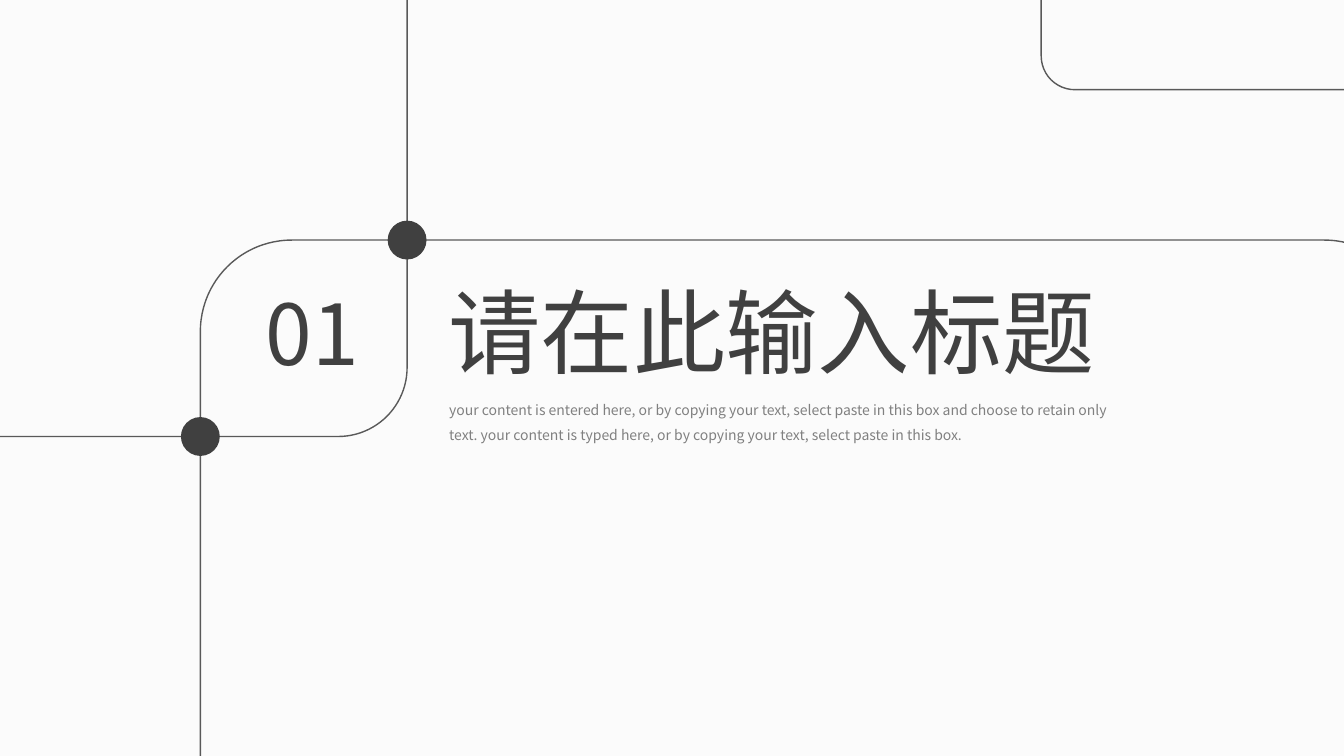
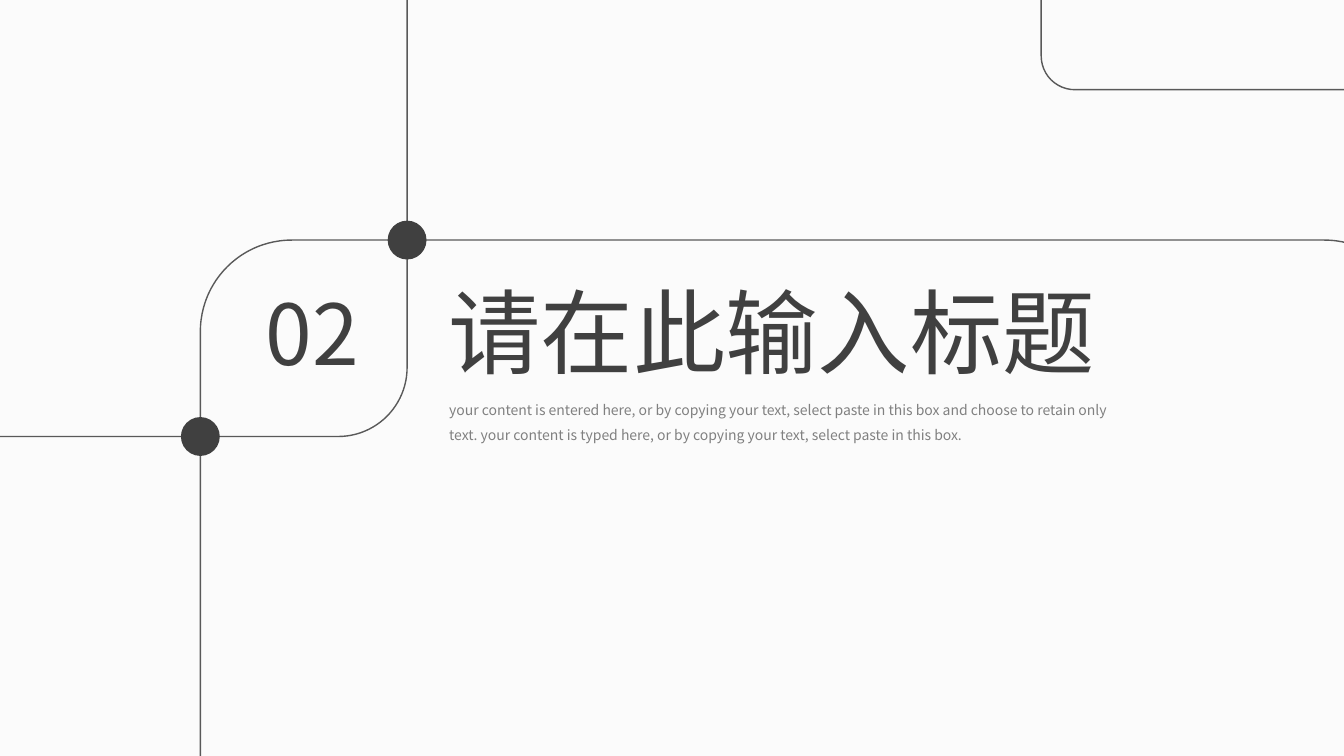
from dataclasses import dataclass

from lxml.etree import SubElement
from pptx import Presentation
from pptx.dml.color import RGBColor
from pptx.enum.shapes import MSO_SHAPE
from pptx.enum.text import MSO_AUTO_SIZE
from pptx.oxml.ns import qn
from pptx.slide import Slide
from pptx.util import Cm, Pt


@dataclass(frozen=True)
class Theme:
    font: str = "Noto Sans CJK SC"
    background: RGBColor = RGBColor(0xFB, 0xFB, 0xFB)
    outline: RGBColor = RGBColor(0x59, 0x59, 0x59)
    dark: RGBColor = RGBColor(0x40, 0x40, 0x40)
    muted: RGBColor = RGBColor(0x80, 0x80, 0x80)
    outline_pt: float = 1
    title_pt: float = 66
    number_pt: float = 60
    description_pt: float = 10


@dataclass(frozen=True)
class Box:
    """A rectangle in centimetres."""
    left: float
    top: float
    width: float
    height: float

    @property
    def right(self) -> float:
        return self.left + self.width

    @property
    def bottom(self) -> float:
        return self.top + self.height

    def lengths(self) -> tuple[Cm, Cm, Cm, Cm]:
        return Cm(self.left), Cm(self.top), Cm(self.width), Cm(self.height)


@dataclass(frozen=True)
class Frame:
    box: Box
    rounding: float


@dataclass(frozen=True)
class TextStyle:
    box: Box
    size: float
    color: RGBColor
    wrap: bool = False
    line_spacing: float = 1.0


@dataclass(frozen=True)
class Section:
    number: str
    title: str
    description: str


THEME = Theme()

NUMBER_FRAME = Frame(Box(-5.54, -6.91, 15.8, 17.91), 0.11)
TITLE_FRAME = Frame(Box(5.05, 6.05, 30.63, 19.2), 0.12)
CORNER_FRAME = Frame(Box(26.24, -3.4, 10.95, 5.66), 0.15)
FRAMES = (NUMBER_FRAME, TITLE_FRAME, CORNER_FRAME)

# The dots mark where the number frame and the title frame cross.
DOT_SIZE = 0.98
CROSSINGS = (
    (NUMBER_FRAME.box.right, TITLE_FRAME.box.top),
    (TITLE_FRAME.box.left, NUMBER_FRAME.box.bottom),
)

TITLE = TextStyle(Box(11.05, 6.81, 17.32, 3.07), THEME.title_pt, THEME.dark)
DESCRIPTION = TextStyle(Box(11.07, 9.78, 17.2, 1.55), THEME.description_pt,
                        THEME.muted, wrap=True, line_spacing=1.5)
NUMBER = TextStyle(Box(6.45, 6.96, 2.87, 2.82), THEME.number_pt, THEME.dark)

TITLE_TEXT = "请在此输入标题"
DESCRIPTION_TEXT = (
    "your content is entered here, or by copying your text, select paste in "
    "this box and choose to retain only text. your content is typed here, or "
    "by copying your text, select paste in this box."
)
SECTIONS = [Section(number, TITLE_TEXT, DESCRIPTION_TEXT)
            for number in ("01", "02")]


def add_frame(slide: Slide, frame: Frame) -> None:
    outline = slide.shapes.add_shape(MSO_SHAPE.ROUNDED_RECTANGLE,
                                     *frame.box.lengths())
    outline.adjustments[0] = frame.rounding
    outline.shadow.inherit = False
    outline.fill.background()
    outline.line.color.rgb = THEME.outline
    outline.line.width = Pt(THEME.outline_pt)


def add_dot(slide: Slide, x: float, y: float) -> None:
    """Draw a dot centred on x, y."""
    box = Box(x - DOT_SIZE / 2, y - DOT_SIZE / 2, DOT_SIZE, DOT_SIZE)
    dot = slide.shapes.add_shape(MSO_SHAPE.OVAL, *box.lengths())
    dot.shadow.inherit = False
    dot.fill.solid()
    dot.fill.fore_color.rgb = THEME.dark
    dot.line.fill.background()


def add_text(slide: Slide, text: str, style: TextStyle) -> None:
    frame = slide.shapes.add_textbox(*style.box.lengths()).text_frame
    frame.word_wrap = style.wrap
    frame.auto_size = MSO_AUTO_SIZE.SHAPE_TO_FIT_TEXT
    paragraph = frame.paragraphs[0]
    paragraph.line_spacing = style.line_spacing
    run = paragraph.add_run()
    run.text = text
    run.font.size = Pt(style.size)
    run.font.color.rgb = style.color
    run.font.name = THEME.font
    # Chinese characters take their font from a separate element.
    SubElement(run.font._element, qn("a:ea"), typeface=THEME.font)


def add_section_slide(prs: Presentation, section: Section) -> None:
    slide = prs.slides.add_slide(prs.slide_layouts[6])
    for frame in FRAMES:
        add_frame(slide, frame)
    for x, y in CROSSINGS:
        add_dot(slide, x, y)
    add_text(slide, section.title, TITLE)
    add_text(slide, section.description, DESCRIPTION)
    add_text(slide, section.number, NUMBER)


def main() -> None:
    prs = Presentation()
    prs.slide_width, prs.slide_height = Cm(33.87), Cm(19.05)
    background = prs.slide_master.background.fill
    background.solid()
    background.fore_color.rgb = THEME.background
    for section in SECTIONS:
        add_section_slide(prs, section)
    prs.save("out.pptx")


if __name__ == "__main__":
    main()
